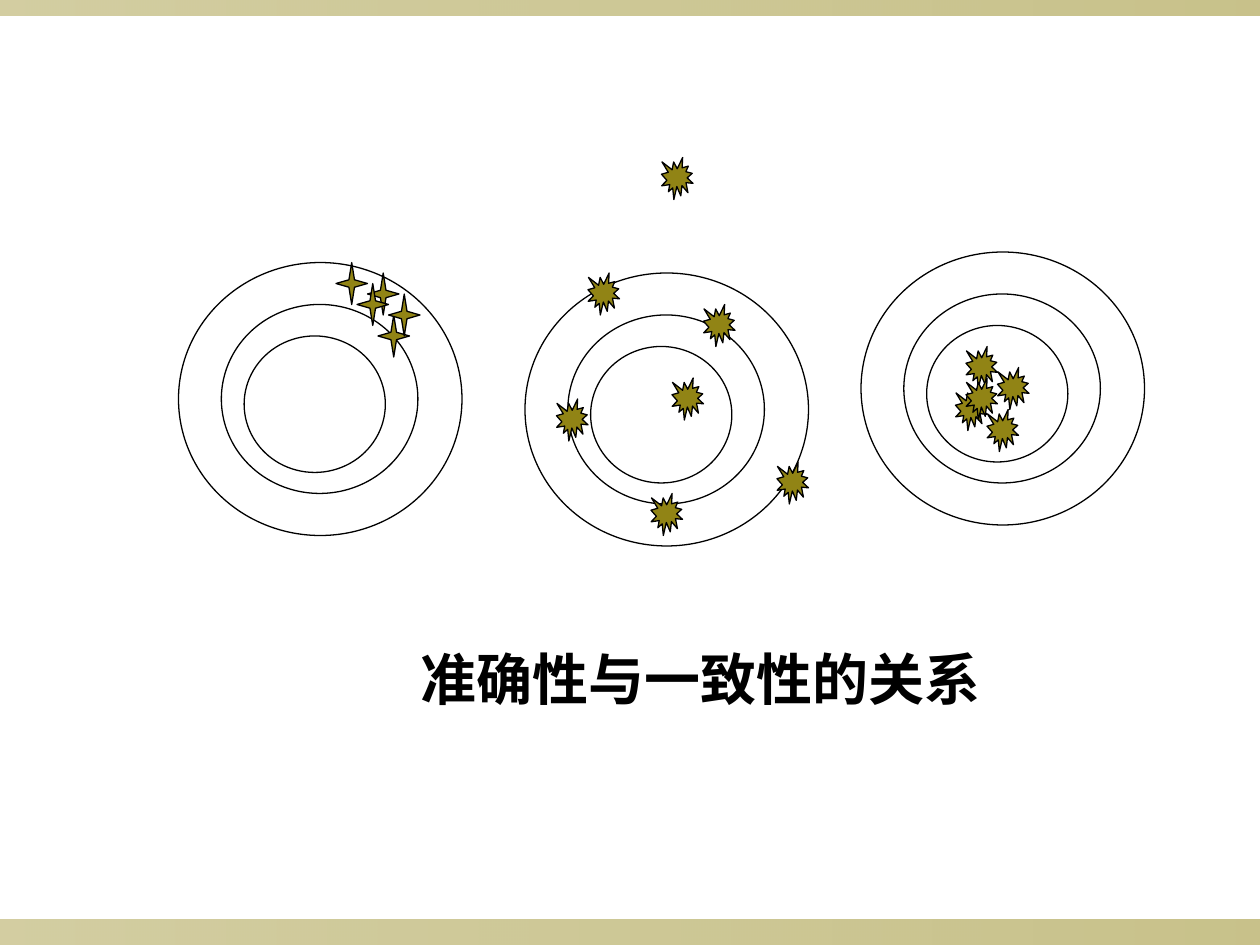
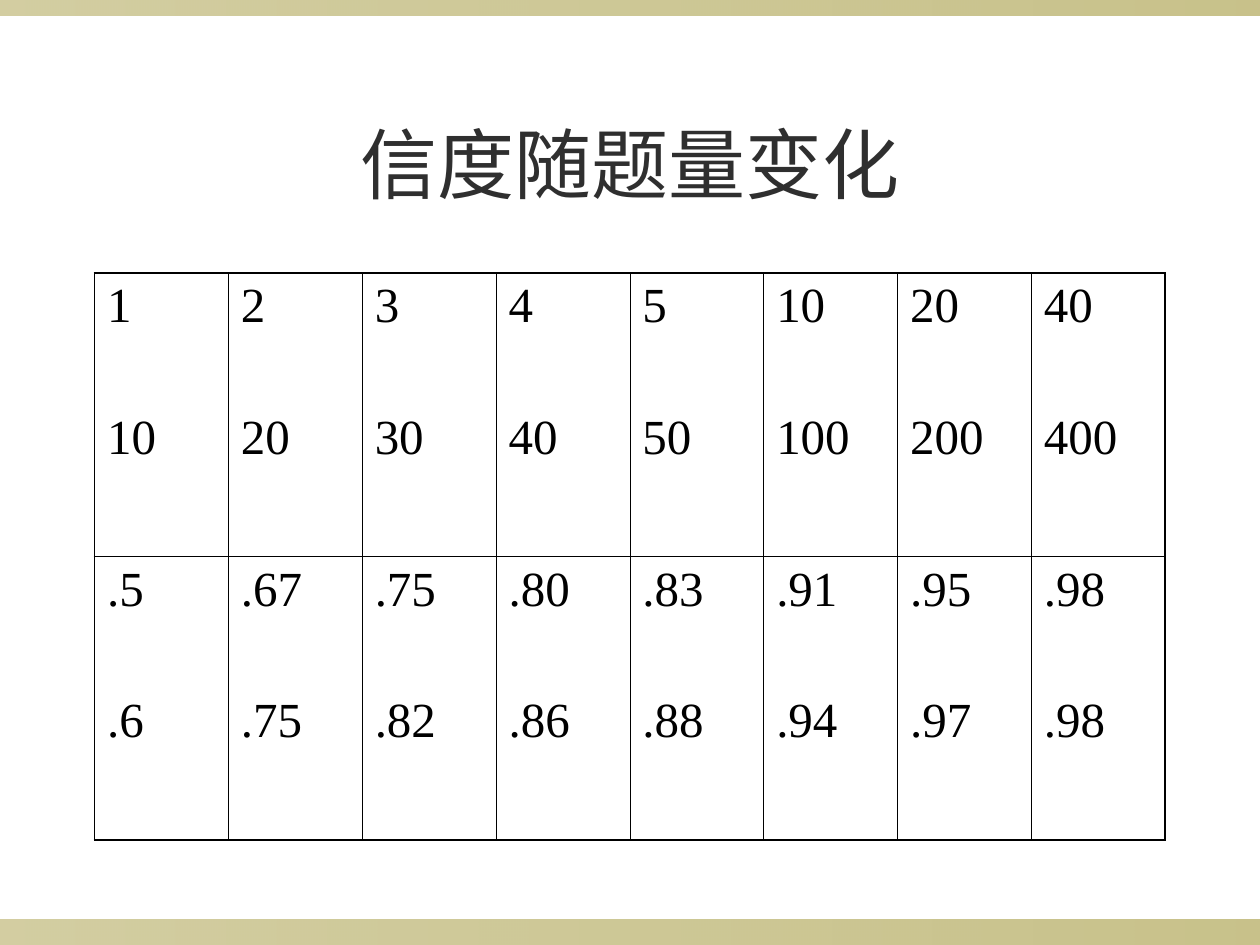
from pptx import Presentation
from pptx.dml.color import RGBColor
from pptx.enum.shapes import MSO_SHAPE
from pptx.enum.text import MSO_ANCHOR, MSO_AUTO_SIZE, PP_ALIGN
from pptx.oxml.ns import qn
from pptx.util import Pt
from lxml import etree

RECT, OVAL = MSO_SHAPE.RECTANGLE, MSO_SHAPE.OVAL
CROSS, BURST = MSO_SHAPE.STAR_4_POINT, MSO_SHAPE.EXPLOSION1
LEFT, CENTER = PP_ALIGN.LEFT, PP_ALIGN.CENTER
TOP, MIDDLE = MSO_ANCHOR.TOP, MSO_ANCHOR.MIDDLE
FIT_SHAPE = MSO_AUTO_SIZE.SHAPE_TO_FIT_TEXT

COLORS = {"olive": "918415", "white": "FFFFFF", "black": "000000", "title": "2F2F2F"}
BODY_FONT, TITLE_FONT = "Times New Roman", "Karla"
WIDTH, HEIGHT = 720, 540

BANDS = [(HEIGHT - 14.4, 14.4), (0, 8.64)]
BAND_OPACITY = (40, 50)

RINGS = [(0, 0, 162, 156), (24.5, 24, 112.3, 108), (37.5, 42, 80.7, 78)]
TARGETS = [(102, 150), (300, 156), (492, 144)]
MARK = (18, 24)
CROSSES = [(192, 150), (210, 156), (216, 180), (204, 162), (222, 168)]
BURSTS = [(318, 228), (336, 156), (402, 174), (384, 216), (444, 264), (372, 282),
          (546, 222), (570, 210), (552, 198), (378, 90), (564, 234), (552, 216)]

RELIABILITY = [
    [("1", "10"), ("2", "20"), ("3", "30"), ("4", "40"),
     ("5", "50"), ("10", "100"), ("20", "200"), ("40", "400")],
    [(".5", ".6"), (".67", ".75"), (".75", ".82"), (".80", ".86"),
     (".83", ".88"), (".91", ".94"), (".95", ".97"), (".98", ".98")],
]
OUTER, INNER = 1.08, 0.45


def rgb(name):
    """Return the named colour."""
    return RGBColor.from_string(COLORS[name])


def write(tf, *lines, size=28, font=BODY_FONT, color="black", bold=False, align=LEFT, gap=0):
    """Write one paragraph per line, with a gap between paragraphs."""
    for i, line in enumerate(lines):
        p = tf.add_paragraph() if i else tf.paragraphs[0]
        p.alignment = align
        if i:
            p.space_before = Pt(gap)
        r = p.add_run()
        r.text = line
        r.font.size, r.font.name, r.font.bold = Pt(size), font, bold
        r.font.color.rgb = rgb(color)


def add_text(s, text, box, wrap=True, anchor=TOP, **fmt):
    """Add a text box."""
    tf = s.shapes.add_textbox(*map(Pt, box)).text_frame
    tf.word_wrap, tf.vertical_anchor = wrap, anchor
    if not wrap:
        tf.auto_size = FIT_SHAPE
    write(tf, text, **fmt)


def add_outlined(shapes, kind, box, fill):
    """Add a filled preset shape with a thin black outline."""
    sp = shapes.add_shape(kind, *map(Pt, box))
    sp.shadow.inherit = False
    sp.fill.solid()
    sp.fill.fore_color.rgb = rgb(fill)
    sp.line.color.rgb = rgb("black")
    sp.line.width = Pt(0.75)


def add_target(s, x, y):
    """Add a grouped target of three rings and return its group."""
    group = s.shapes.add_group_shape()
    for dx, dy, w, h in RINGS:
        add_outlined(group.shapes, OVAL, (x + dx, y + dy, w, h), "white")
    return group


def add_marks(shapes, kind, places):
    """Add a hit mark at each place."""
    for place in places:
        add_outlined(shapes, kind, place + MARK, "olive")


def add_band(s, top, height):
    """Add a translucent gradient band across the slide."""
    sp = s.shapes.add_shape(RECT, 0, Pt(top), Pt(WIDTH), Pt(height))
    sp.shadow.inherit = False
    sp.line.fill.background()
    sp.fill.gradient()
    sp.fill.gradient_angle = 0
    for stop, position in zip(sp.fill.gradient_stops, (0, 1)):
        stop.position = position
        stop.color.rgb = rgb("olive")
    colors = sp.element.spPr.iter(qn("a:srgbClr"))
    for color, opacity in zip(colors, BAND_OPACITY):
        etree.SubElement(color, qn("a:alpha"), val=str(opacity * 1000))


def set_borders(cell, **widths):
    """Draw black cell borders with the given widths in points."""
    tc_pr = cell._tc.get_or_add_tcPr()
    for side, width in widths.items():
        ln = etree.SubElement(tc_pr, qn(f"a:ln{side}"), w=str(int(Pt(width))))
        fill = etree.SubElement(ln, qn("a:solidFill"))
        etree.SubElement(fill, qn("a:srgbClr"), val=COLORS["black"])


def add_grid(s, rows, box):
    """Add an unfilled table with heavier outer borders."""
    last_row, last_col = len(rows) - 1, len(rows[0]) - 1
    table = s.shapes.add_table(len(rows), len(rows[0]), *map(Pt, box)).table
    table.first_row = table.horz_banding = False
    for i, row in enumerate(rows):
        for j, lines in enumerate(row):
            cell = table.cell(i, j)
            set_borders(cell,
                        L=INNER if j else OUTER,
                        R=INNER if j < last_col else OUTER,
                        T=INNER if i else OUTER,
                        B=INNER if i < last_row else OUTER)
            cell.fill.background()
            write(cell.text_frame, *lines, gap=44)


def add_slide(prs):
    """Add a blank slide with the shared bands."""
    s = prs.slides.add_slide(prs.slide_layouts[6])
    for top, height in BANDS:
        add_band(s, top, height)
    return s


def main():
    """Build and save the presentation."""
    prs = Presentation()
    prs.slide_width, prs.slide_height = Pt(WIDTH), Pt(HEIGHT)

    s = add_slide(prs)
    groups = [add_target(s, x, y) for x, y in TARGETS]
    add_marks(groups[0].shapes, CROSS, CROSSES)
    add_marks(s.shapes, BURST, BURSTS)
    add_text(s, "准确性与一致性的关系", (233.3, 365, 334.8, 46), wrap=False, size=32, bold=True)

    s = add_slide(prs)
    add_text(s, "信度随题量变化", (54, 48, 612, 90), anchor=MIDDLE,
             size=44, font=TITLE_FONT, color="title", align=CENTER)
    add_grid(s, RELIABILITY, (54, 156, 612, 324))

    prs.save("out.pptx")


if __name__ == "__main__":
    main()
